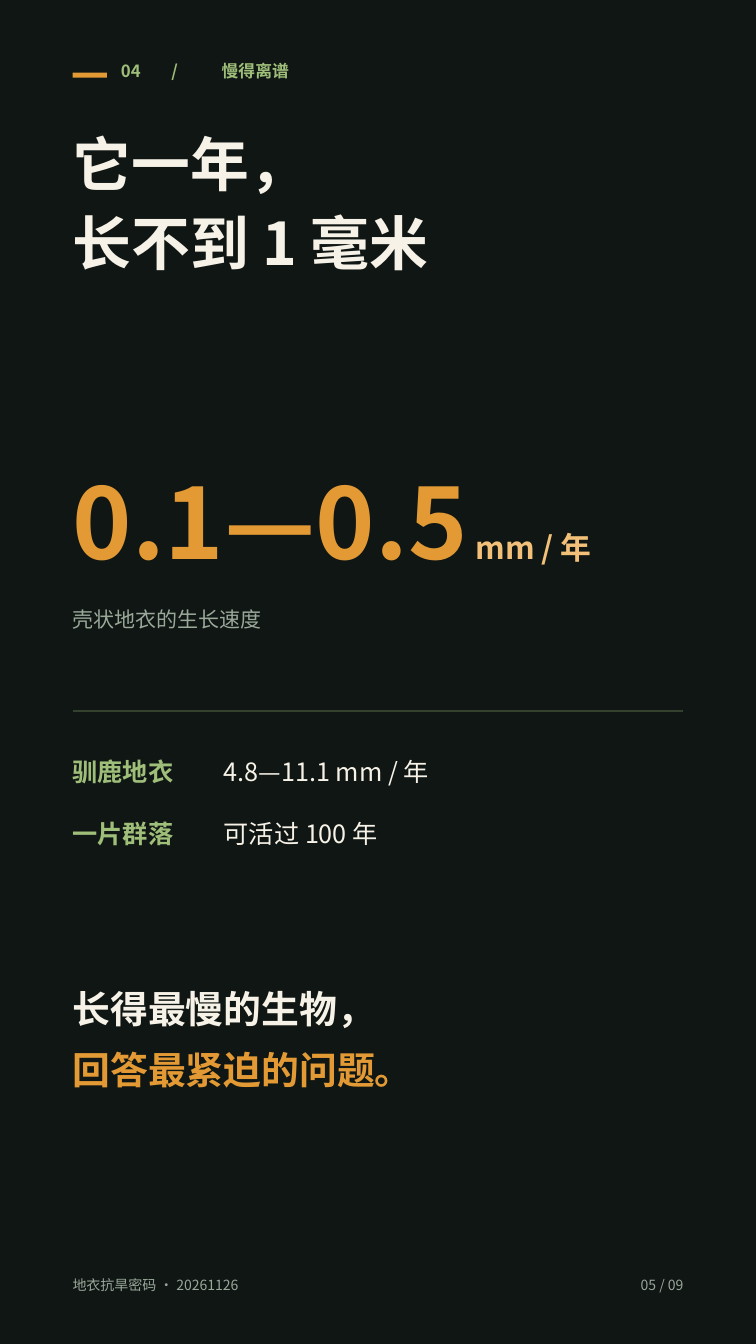
from pptx import Presentation
from pptx.dml.color import RGBColor
from pptx.enum.shapes import MSO_CONNECTOR, MSO_SHAPE
from pptx.enum.text import MSO_ANCHOR, MSO_AUTO_SIZE, PP_ALIGN
from pptx.oxml.ns import qn
from pptx.util import Inches, Pt
from lxml import etree

LEFT, RIGHT = PP_ALIGN.LEFT, PP_ALIGN.RIGHT
TOP, NOFIT = MSO_ANCHOR.TOP, MSO_AUTO_SIZE.NONE
RECT, LINE = MSO_SHAPE.RECTANGLE, MSO_CONNECTOR.STRAIGHT
FONT = "Noto Sans CJK SC"
GREEN, ORANGE, CREAM, GREY = "9FBE79", "E39A35", "F7F2E7", "9AA89A"
EDGE, WIDE = 0.72, 6.06


def rgb(code):
    return RGBColor.from_string(code)


def write(shape, box, paras, align=LEFT, line=1.0, gap=0, tabs=()):
    """Fill a box; paras hold runs of (text, size, colour, bold), tabs one list per paragraph."""
    shape.left, shape.top, shape.width, shape.height = map(Inches, box)
    frame = shape.text_frame
    frame.word_wrap, frame.auto_size, frame.vertical_anchor = True, NOFIT, TOP
    frame.margin_left = frame.margin_top = frame.margin_right = frame.margin_bottom = 0
    for i, runs in enumerate(paras):
        para = frame.add_paragraph() if i else frame.paragraphs[0]
        props = para._p.get_or_add_pPr()
        props.set("marL", "0")
        props.set("indent", "0")
        etree.SubElement(props, qn("a:buNone"))
        if tabs:
            stops = etree.SubElement(props, qn("a:tabLst"))
            for pos in tabs[i]:
                etree.SubElement(stops, qn("a:tab"), pos=str(Inches(pos)), algn="l")
        para.alignment, para.line_spacing = align, line
        para.space_before, para.space_after = Pt(gap if i else 0), Pt(0)
        for text, size, color, bold in runs:
            run = para.add_run()
            run.text = text
            font = run.font
            font.name, font.size, font.bold = FONT, Pt(size), bold
            font.color.rgb = rgb(color)
            etree.SubElement(run._r.get_or_add_rPr(), qn("a:ea"), typeface=FONT)


prs = Presentation()
prs.slide_width, prs.slide_height = Inches(7.5), Inches(13.33)
slide = prs.slides.add_slide(prs.slide_layouts[1])
shapes = slide.shapes
slide.background.fill.solid()
slide.background.fill.fore_color.rgb = rgb("0F1613")

# Accent bar
bar = shapes.add_shape(RECT, Inches(EDGE), Inches(0.72), Inches(0.34), Inches(0.05))
bar.shadow.inherit = False
bar.fill.solid()
bar.fill.fore_color.rgb = rgb(ORANGE)
bar.line.fill.background()

# Title
write(shapes.title, (EDGE, 1.18, WIDE, 2),
      [[("它一年，", 42, CREAM, True)], [("长不到 1 毫米", 42, CREAM, True)]], line=1.12)

# Comparison rows
facts = [("驯鹿地衣", "4.8—11.1 mm / 年"), ("一片群落", "可活过 100 年")]
rows = [[(name + "\t", 18, GREEN, True), (fact, 18, CREAM, False)] for name, fact in facts]
write(slide.placeholders[1], (EDGE, 7.35, WIDE, 1.5), rows,
      line=1.5, gap=12, tabs=[[1.55], [1.5]])

# Section label, big figure, caption, closing words and footer
texts = [
    ((1.2, 0.6, 5, 0.34), [[("04\t/\t慢得离谱", 12, GREEN, True)]],
     {"tabs": [[0.27, 0.45]]}),
    ((EDGE, 4.55, WIDE, 1.5),
     [[("0.1—0.5", 72, ORANGE, True), ("\tmm / 年", 22, "F2C078", True)]],
     {"tabs": [[4.04]]}),
    ((EDGE, 6.02, WIDE, 0.45), [[("壳状地衣的生长速度", 15, GREY, False)]], {}),
    ((EDGE, 9.62, WIDE, 2),
     [[("长得最慢的生物，", 27, CREAM, True)], [("回答最紧迫的问题。", 27, ORANGE, True)]],
     {"line": 1.35}),
    ((EDGE, 12.66, 3.6, 0.3), [[("地衣抗旱密码 · 20261126", 10, GREY, False)]], {}),
    ((5.58, 12.66, 1.2, 0.3), [[("05 / 09", 10, GREY, False)]], {"align": RIGHT}),
]
for box, paras, style in texts:
    write(shapes.add_textbox(0, 0, 0, 0), box, paras, **style)

# Divider
rule = shapes.add_connector(LINE, Inches(EDGE), Inches(7.05), Inches(EDGE + WIDE), Inches(7.05))
rule.line.color.rgb = rgb("34412F")
rule.line.width = Pt(1)
etree.SubElement(rule._element.spPr, qn("a:effectLst"))

prs.save("out.pptx")
